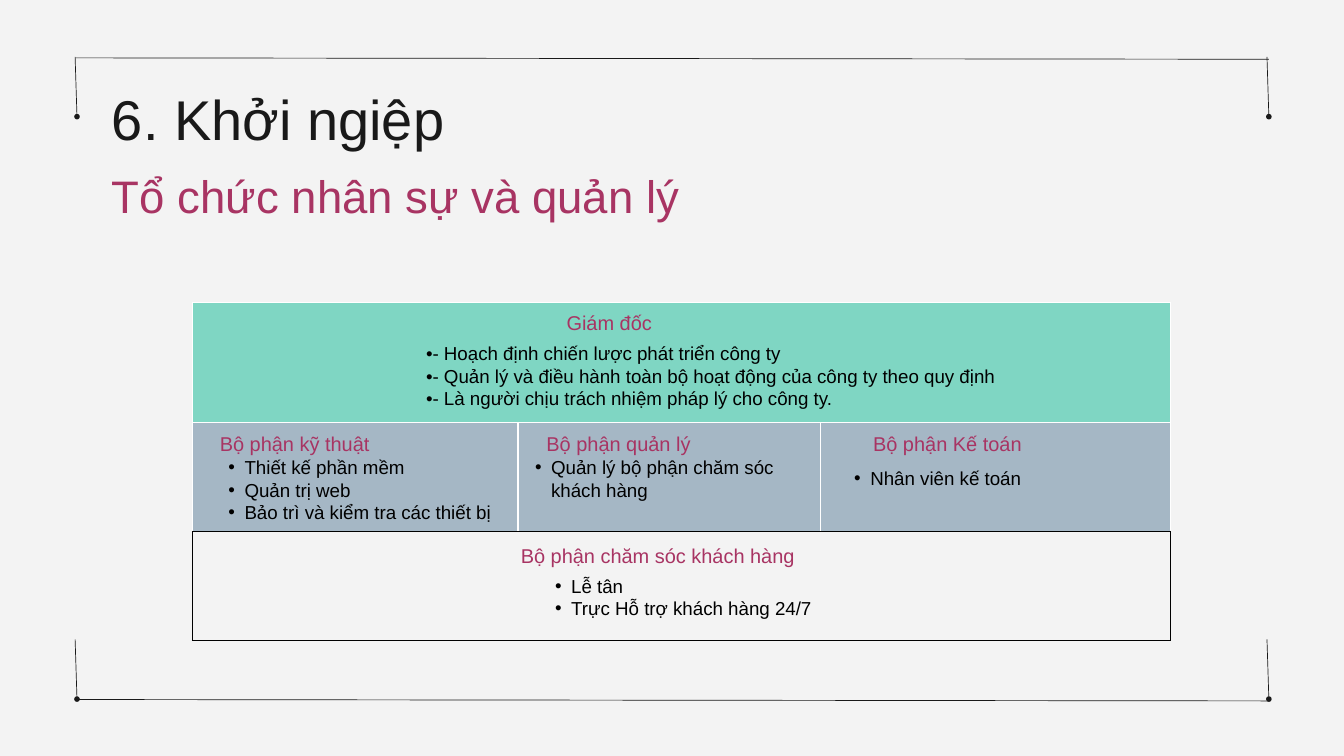
from lxml import etree
from pptx import Presentation
from pptx.dml.color import RGBColor
from pptx.enum import shapes, text
from pptx.oxml import ns
from pptx.util import Pt

INK, BERRY, BLACK, WHITE = "191919", "A83463", "000000", "FFFFFF"
MINT, SLATE, PAPER = "7FD6C3", "A5B7C5", "F3F3F3"

HEADINGS = [
    ("6. Khởi ngiệp", (120, 90, 410, 74), 60, 72, INK),
    ("Tổ chức nhân sự và quản lý", (120, 179.5, 1008, 60), 48.8, 58.5, BERRY),
]

DEPARTMENTS = [
    ("Giám đốc", (607, 332.5, 442),
     ["•- Hoạch định chiến lược phát triển công ty",
      "•- Quản lý và điều hành toàn bộ hoạt động của công ty theo quy định",
      "•- Là người chịu trách nhiệm pháp lý cho công ty."],
     (456.5, 366.5, 686), False),
    ("Bộ phận kỹ thuật", (235.5, 462, 269),
     ["Thiết kế phần mềm", "Quản trị web", "Bảo trì và kiểm tra các thiết bị"],
     (227.5, 488.5, 328), True),
    ("Bộ phận quản lý", (585.5, 462, 269),
     ["Quản lý bộ phận chăm sóc khách hàng"], (556, 488.5, 328), True),
    ("Bộ phận Kế toán", (935.5, 462, 269),
     ["Nhân viên kế toán"], (898, 500, 328), True),
    ("Bộ phận chăm sóc khách hàng", (558, 582.5, 340),
     ["Lễ tân", "Trực Hỗ trợ khách hàng 24/7"], (577.5, 615.5, 641), True),
]

COLUMNS = [349, 324, 375]
ROWS = [(129.5, MINT, WHITE), (116.5, SLATE, WHITE), (116.5, None, BLACK)]
CHART_LEFT, CHART_TOP = 206, 323.5

HORIZONTALS = [(80.5, 62, 1359.5, 63.5), (82.5, 749.5, 1361, 751)]
VERTICAL_LEFTS, VERTICAL_TOPS = (80.5, 1357.5), (61, 685)


def rgb(value):
    return RGBColor.from_string(value)


def child(parent, tag, **attributes):
    return etree.SubElement(parent, ns.qn(tag), attributes)


def add_frame_line(slide, ends, dotted):
    line = slide.shapes.add_connector(
        shapes.MSO_CONNECTOR.STRAIGHT, *[Pt(v) for v in ends])
    line.line.color.rgb = rgb(INK)
    line.line.width = Pt(0.75)
    if dotted:
        child(line.line._get_or_add_ln(), "a:tailEnd", type="oval")
    child(line._element.spPr, "a:effectLst")


def add_text(slide, lines, place, size, spacing, color, bulleted=False):
    box = slide.shapes.add_textbox(*[Pt(v) for v in place])
    frame = box.text_frame
    frame.word_wrap = True
    frame.auto_size = text.MSO_AUTO_SIZE.SHAPE_TO_FIT_TEXT
    frame.margin_left = frame.margin_right = 0
    frame.margin_top = frame.margin_bottom = 0
    frame.text = "\n".join(lines)
    for paragraph in frame.paragraphs:
        paragraph.line_spacing = Pt(spacing)
        if bulleted:
            paragraph.level = 1
            properties = paragraph._p.get_or_add_pPr()
            properties.set("marL", str(Pt(34.5)))
            properties.set("indent", str(-Pt(17.25)))
            child(properties, "a:buFont", typeface="Arial")
            child(properties, "a:buChar", char="•")
        for run in paragraph.runs:
            run.font.name = "Arial"
            run.font.size = Pt(size)
            run.font.color.rgb = rgb(color)


def set_borders(cell, colors, width):
    properties = cell._tc.get_or_add_tcPr()
    for side, color in zip("LRTB", colors):
        border = child(properties, f"a:ln{side}", w=str(Pt(width)))
        child(child(border, "a:solidFill"), "a:srgbClr", val=color)


def add_organisation(slide):
    heights = [height for height, _, _ in ROWS]
    table = slide.shapes.add_table(
        len(ROWS), len(COLUMNS), Pt(CHART_LEFT), Pt(CHART_TOP),
        Pt(sum(COLUMNS)), Pt(sum(heights))).table
    table.first_row = table.horz_banding = False
    for column, width in zip(table.columns, COLUMNS):
        column.width = Pt(width)
    for r, (height, fill, border) in enumerate(ROWS):
        table.rows[r].height = Pt(height)
        bottom = BLACK if r > 0 else border
        for cell in table.rows[r].cells:
            set_borders(cell, (border, border, border, bottom),
                        1.5 if r == 1 else 0.75)
            if fill:
                cell.fill.solid()
                cell.fill.fore_color.rgb = rgb(fill)
            else:
                cell.fill.background()
    for r in (0, 2):
        table.cell(r, 0).merge(table.cell(r, 2))


def main():
    deck = Presentation()
    deck.slide_width, deck.slide_height = Pt(1440), Pt(810)
    slide = deck.slides.add_slide(deck.slide_layouts[6])
    slide.background.fill.solid()
    slide.background.fill.fore_color.rgb = rgb(PAPER)

    for ends in HORIZONTALS:
        add_frame_line(slide, ends, False)
    for left in VERTICAL_LEFTS:
        for top in VERTICAL_TOPS:
            add_frame_line(slide, (left, top, left + 2, top + 64), True)

    for heading, place, size, spacing, color in HEADINGS:
        add_text(slide, [heading], place, size, spacing, color)

    add_organisation(slide)
    for name, name_place, duties, duties_place, bulleted in DEPARTMENTS:
        add_text(slide, [name], (*name_place, 26.5), 21.4, 25.6, BERRY)
        add_text(slide, duties, (*duties_place, 24.1 * len(duties)),
                 20.1, 24.1, BLACK, bulleted)

    deck.save("out.pptx")


if __name__ == "__main__":
    main()
